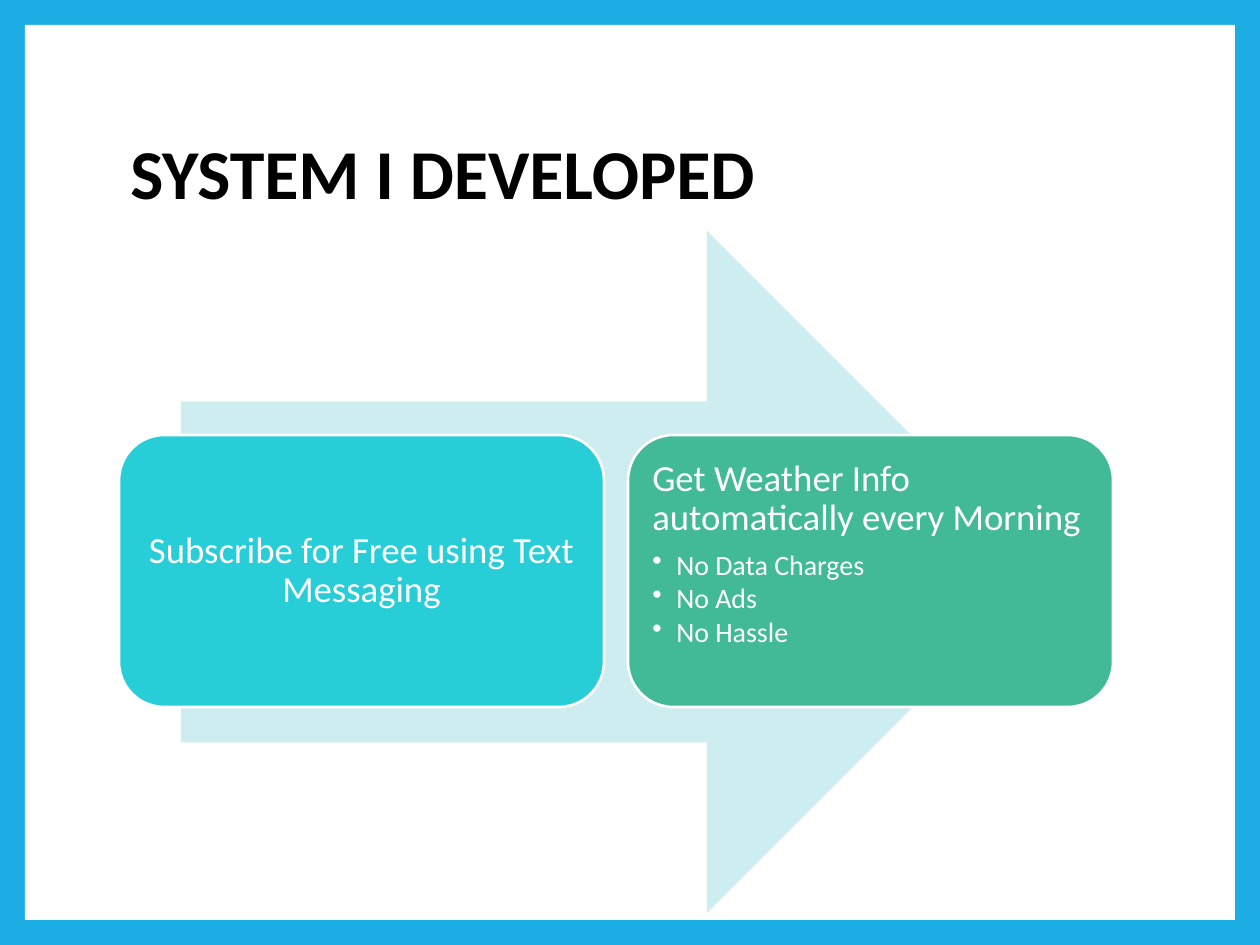
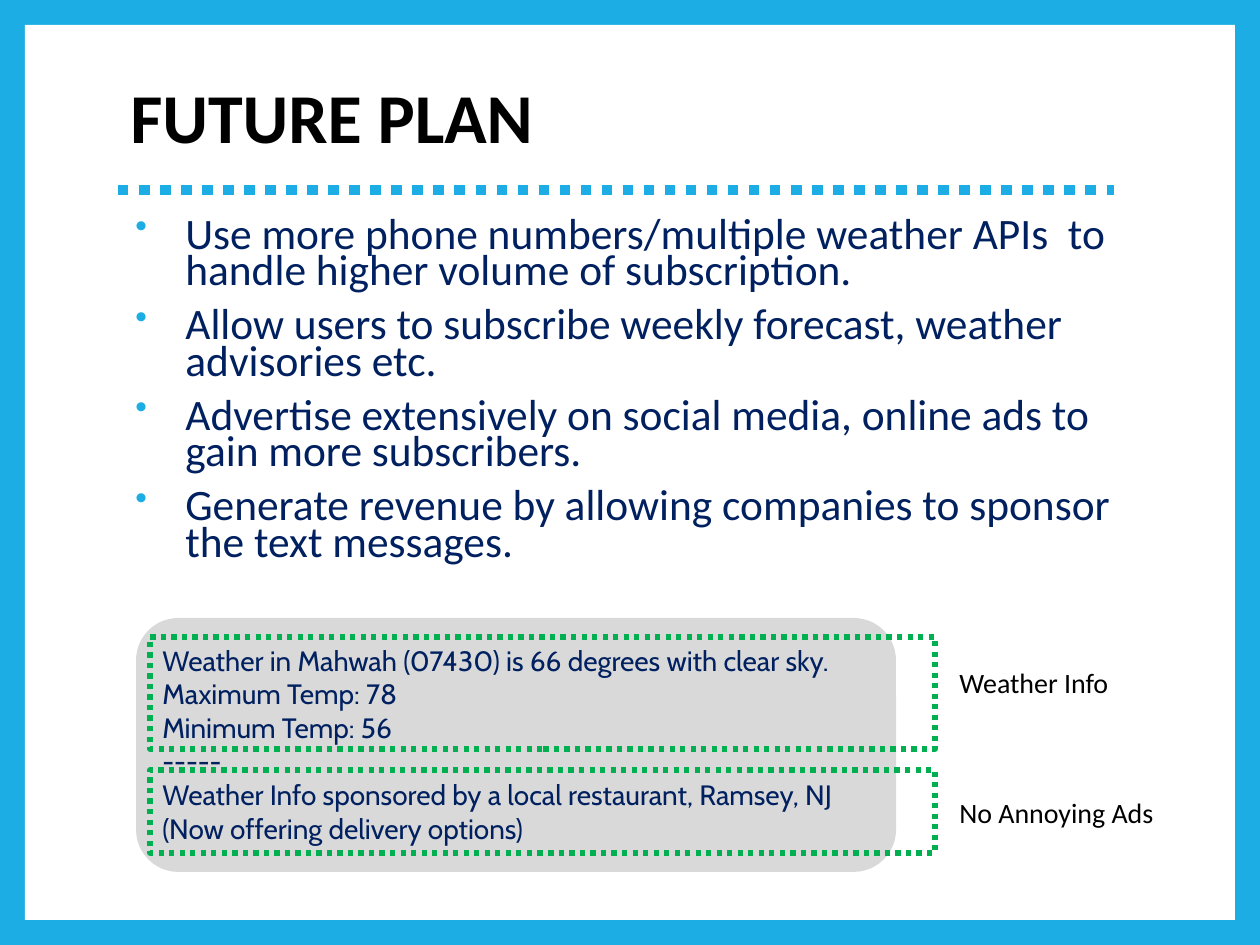
"""Builds two slides on a text-message weather service: the system and its future plan."""
from lxml.etree import SubElement
from pptx import Presentation
from pptx.dml.color import RGBColor
from pptx.enum.dml import MSO_LINE
from pptx.enum.shapes import MSO_CONNECTOR, MSO_SHAPE
from pptx.enum.text import MSO_ANCHOR, PP_ALIGN
from pptx.oxml.ns import qn
from pptx.util import Emu, Pt

SYSTEM_TITLE = "SYSTEM I DEVELOPED"
SUBSCRIBE_STEP = "Subscribe for Free using Text Messaging"
DELIVERY_STEP = "Get Weather Info automatically every Morning"
DELIVERY_BENEFITS = ["No Data Charges", "No Ads", "No Hassle"]

PLAN_TITLE = "FUTURE PLAN"
PLANS = [
    "Use more phone numbers/multiple weather APIs  to handle higher volume of subscription.",
    "Allow users to subscribe weekly forecast, weather advisories etc.",
    "Advertise extensively on social media, online ads to gain more subscribers.",
    "Generate revenue by allowing companies to sponsor the text messages.",
]
MESSAGE = [
    "Weather in Mahwah (07430) is 66 degrees with clear sky.",
    "Maximum Temp: 78",
    "Minimum Temp: 56",
    "-----",
    "Weather Info sponsored by a local restaurant, Ramsey, NJ (Now offering delivery options)",
]
MESSAGE_PARTS = [
    {"label": "Weather Info", "top": 637, "height": 112, "label_top": 659},
    {"label": "No Annoying Ads", "top": 770, "height": 83, "label_top": 789},
]

BLUE = RGBColor(0x1C, 0xAD, 0xE4)
WHITE = RGBColor(0xFF, 0xFF, 0xFF)
BLACK = RGBColor(0, 0, 0)
NAVY = RGBColor(0x00, 0x20, 0x60)
PALE_TEAL = RGBColor(0xCD, 0xED, 0xF0)
TURQUOISE = RGBColor(0x27, 0xCE, 0xD7)
GREEN = RGBColor(0x42, 0xBA, 0x97)
BRIGHT_GREEN = RGBColor(0x00, 0xB0, 0x50)
GREY = RGBColor(0xD9, 0xD9, 0xD9)

PX_PER_INCH = 126
WIDTH, HEIGHT = 1260, 945
BORDER = 25
LEFT, TEXT_WIDTH = 118, 1021


def px(length):
    return Emu(round(length * 914400 / PX_PER_INCH))


def add_bullet(paragraph, left, hanging, color=None, percent=None):
    properties = paragraph._p.get_or_add_pPr()
    properties.set("marL", str(px(left)))
    properties.set("indent", str(-px(hanging)))
    if color is not None:
        SubElement(SubElement(properties, qn("a:buClr")), qn("a:srgbClr"), val=str(color))
    if percent:
        SubElement(properties, qn("a:buSzPct"), val=str(percent * 1000))
    SubElement(properties, qn("a:buChar"), char="•")


def write(frame, lines, size, color, font="Calibri", bold=False, align=PP_ALIGN.LEFT,
          spacing=None, before=0, after=0, bullet=None):
    for line in lines:
        used = frame.paragraphs[-1].runs
        paragraph = frame.add_paragraph() if used else frame.paragraphs[0]
        paragraph.alignment = align
        paragraph.line_spacing = spacing
        paragraph.space_before, paragraph.space_after = Pt(before), Pt(after)
        run = paragraph.add_run()
        run.text = line
        run.font.name, run.font.size, run.font.bold = font, Pt(size), bold
        run.font.color.rgb = color
        if bullet:
            add_bullet(paragraph, **bullet)


def add_frame(slide, left, top, width, height, anchor=MSO_ANCHOR.TOP):
    frame = slide.shapes.add_textbox(px(left), px(top), px(width), px(height)).text_frame
    frame.word_wrap = True
    frame.vertical_anchor = anchor
    return frame


def add_block(slide, kind, left, top, width, height, fill=None, line=None, weight=1.5, dash=None):
    block = slide.shapes.add_shape(kind, px(left), px(top), px(width), px(height))
    block.shadow.inherit = False
    if fill is None:
        block.fill.background()
    else:
        block.fill.solid()
        block.fill.fore_color.rgb = fill
    if line is None:
        block.line.fill.background()
    else:
        block.line.color.rgb = line
        block.line.width = Pt(weight)
        block.line.dash_style = dash
    return block


def add_titled_slide(deck, title, top):
    slide = deck.slides.add_slide(deck.slide_layouts[6])
    slide.background.fill.solid()
    slide.background.fill.fore_color.rgb = BLUE
    add_block(slide, MSO_SHAPE.RECTANGLE, BORDER, BORDER,
              WIDTH - 2 * BORDER, HEIGHT - 2 * BORDER, WHITE)
    frame = add_frame(slide, LEFT, top, TEXT_WIDTH, 186, MSO_ANCHOR.MIDDLE)
    write(frame, [title], 40, BLACK, bold=True, spacing=0.9)
    return slide


def add_step(slide, position, fill, anchor):
    width, gap = 485, 24
    step = add_block(slide, MSO_SHAPE.ROUNDED_RECTANGLE, LEFT + 1 + position * (width + gap),
                     435, width, 272, fill, WHITE)
    frame = step.text_frame
    frame.word_wrap = True
    frame.vertical_anchor = anchor
    frame.margin_left = frame.margin_right = frame.margin_top = frame.margin_bottom = px(11)
    return frame


def build_system(deck):
    slide = add_titled_slide(deck, SYSTEM_TITLE, 84)
    add_block(slide, MSO_SHAPE.RIGHT_ARROW, 181, 231, 867, 682, PALE_TEAL)
    subscribe = add_step(slide, 0, TURQUOISE, MSO_ANCHOR.MIDDLE)
    write(subscribe, [SUBSCRIBE_STEP], 21, WHITE, align=PP_ALIGN.CENTER, spacing=0.9, after=7)
    delivery = add_step(slide, 1, GREEN, MSO_ANCHOR.TOP)
    write(delivery, [DELIVERY_STEP], 21, WHITE, spacing=0.9, after=7)
    write(delivery, DELIVERY_BENEFITS, 16, WHITE, spacing=0.9, after=2,
          bullet={"left": 24, "hanging": 24})


def build_plan(deck):
    slide = add_titled_slide(deck, PLAN_TITLE, 28)
    write(add_frame(slide, LEFT, 214, TEXT_WIDTH, 379), PLANS, 24.8, NAVY, spacing=0.7, before=10,
          bullet={"left": 55, "hanging": 50, "color": BLUE, "percent": 80})

    rule = slide.shapes.add_connector(MSO_CONNECTOR.STRAIGHT, px(LEFT), px(190), px(1114), px(190))
    rule.line.color.rgb = BLUE
    rule.line.width = Pt(6)
    rule.line.dash_style = MSO_LINE.ROUND_DOT
    SubElement(rule._element.spPr, qn("a:effectLst"))

    add_block(slide, MSO_SHAPE.FLOWCHART_ALTERNATE_PROCESS, 136, 618, 760, 254, GREY)
    write(add_frame(slide, 150, 637, 756, 217), MESSAGE, 16, NAVY, font="Cabin")
    for part in MESSAGE_PARTS:
        add_block(slide, MSO_SHAPE.RECTANGLE, 150, part["top"], 785, part["height"],
                  line=BRIGHT_GREEN, weight=3, dash=MSO_LINE.ROUND_DOT)
        write(add_frame(slide, 947, part["label_top"], 260, 47), [part["label"]], 16, BLACK)


def main():
    deck = Presentation()
    deck.slide_width, deck.slide_height = px(WIDTH), px(HEIGHT)
    build_system(deck)
    build_plan(deck)
    deck.save("out.pptx")


if __name__ == "__main__":
    main()
